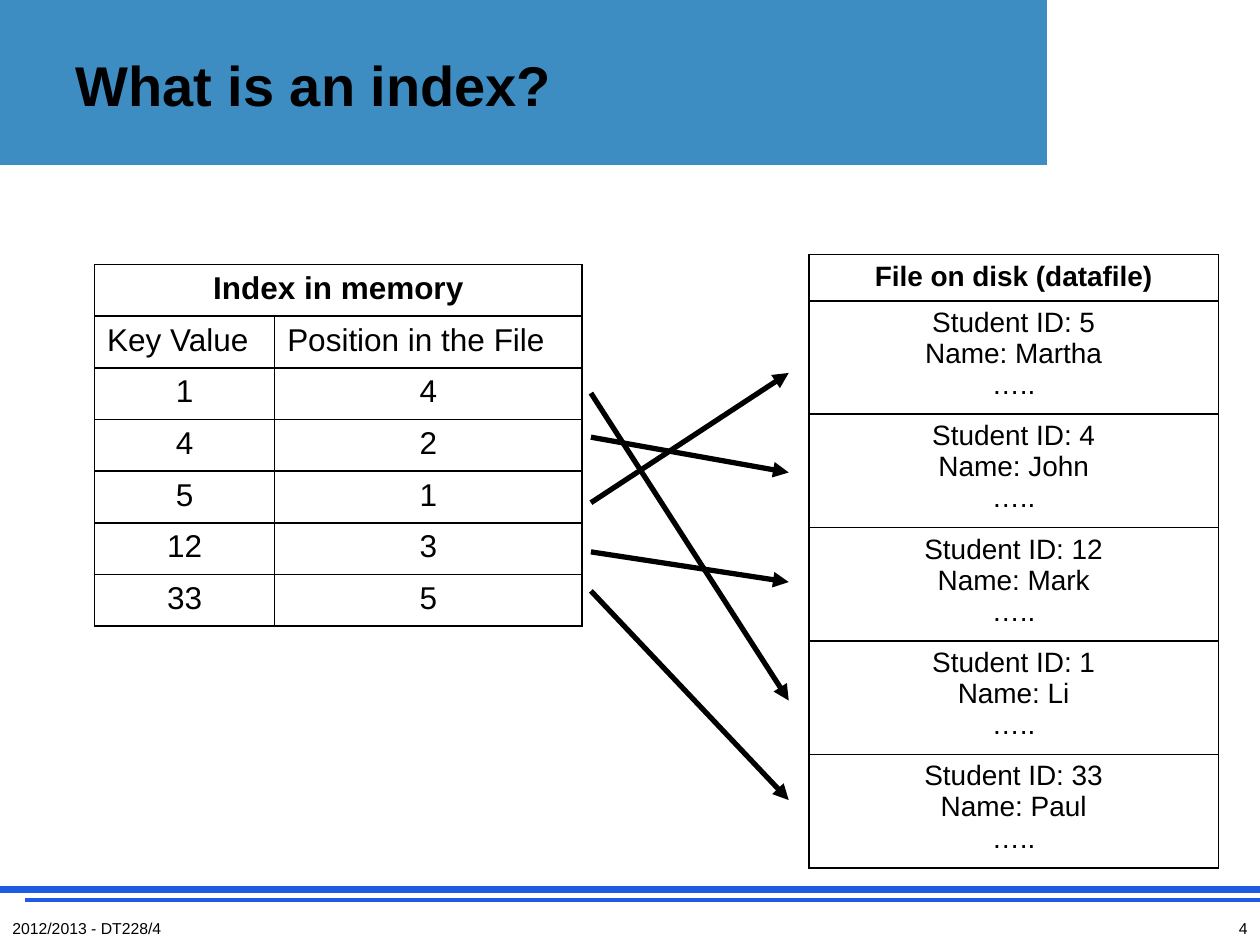
from lxml import etree
from pptx import Presentation
from pptx.dml.color import RGBColor
from pptx.enum.shapes import MSO_CONNECTOR, MSO_SHAPE
from pptx.enum.text import MSO_ANCHOR, PP_ALIGN
from pptx.oxml import parse_xml
from pptx.oxml.ns import nsdecls, qn
from pptx.util import Inches, Pt

STRAIGHT = MSO_CONNECTOR.STRAIGHT
RECTANGLE = MSO_SHAPE.RECTANGLE
TOP, MIDDLE = MSO_ANCHOR.TOP, MSO_ANCHOR.MIDDLE
LEFT, CENTER, RIGHT = PP_ALIGN.LEFT, PP_ALIGN.CENTER, PP_ALIGN.RIGHT
BLACK = RGBColor(0x00, 0x00, 0x00)
WHITE = RGBColor(0xFF, 0xFF, 0xFF)
BANNER_BLUE = RGBColor(0x3D, 0x8D, 0xC3)
RULE_BLUE = RGBColor(0x1E, 0x5B, 0xE2)

prs = Presentation()
prs.slide_width, prs.slide_height = Inches(10), Inches(7.5)
slide = prs.slides.add_slide(prs.slide_layouts[6])
shapes = slide.shapes


def write(frame, text, size, bold=False, align=LEFT, anchor=TOP):
    frame.word_wrap = True
    frame.vertical_anchor = anchor
    for i, line in enumerate(text.split("\n")):
        paragraph = frame.paragraphs[0] if i == 0 else frame.add_paragraph()
        paragraph.alignment = align
        run = paragraph.add_run()
        run.text = line
        run.font.name = "Arial"
        run.font.size = Pt(size)
        run.font.bold = bold
        run.font.color.rgb = BLACK


def draw_line(start, end, color, width):
    line = shapes.add_connector(STRAIGHT, *map(Inches, start + end))
    line.line.color.rgb = color
    line.line.width = Pt(width)
    etree.SubElement(line._element.spPr, qn("a:effectLst"))
    return line


for left, width, height, color in [(0, 10, 1.31, BANNER_BLUE), (8.31, 1.69, 1.39, WHITE)]:
    band = shapes.add_shape(RECTANGLE, Inches(left), 0, Inches(width), Inches(height))
    band.shadow.inherit = False
    band.fill.solid()
    band.fill.fore_color.rgb = color
    band.line.fill.background()

draw_line((0, 7.06), (10, 7.06), RULE_BLUE, 4.5)
draw_line((0.2, 7.14), (10, 7.14), RULE_BLUE, 2.25)

for text, box, size, bold, align in [
    ("What is an index?", (0.5, 0.13, 6.86, 1.08), 32, True, LEFT),
    ("2012/2013 - DT228/4", (0, 7.23, 2.33, 0.27), 9, False, LEFT),
    ("4", (7.67, 7.23, 2.33, 0.27), 9, False, RIGHT),
]:
    label = shapes.add_textbox(*map(Inches, box))
    write(label.text_frame, text, size, bold=bold, align=align, anchor=MIDDLE)

index_rows = [
    ("Index in memory", ""),
    ("Key Value", "Position in the File"),
    ("1", "4"),
    ("4", "2"),
    ("5", "1"),
    ("12", "3"),
    ("33", "5"),
]
students = [("5", "Martha"), ("4", "John"), ("12", "Mark"), ("1", "Li"), ("33", "Paul")]
file_rows = [("File on disk (datafile)",)]
file_rows += [(f"Student ID: {key}\nName: {name}\n…..",) for key, name in students]

for rows, left, top, widths, heights, size in [
    (index_rows, 0.75, 2.1, [1.43, 2.44], [0.41] * 7, 18),
    (file_rows, 6.42, 2.02, [3.25], [0.35] + [0.84] * 5, 16),
]:
    table = shapes.add_table(
        len(rows), len(widths), Inches(left), Inches(top),
        Inches(sum(widths)), Inches(sum(heights)),
    ).table
    table.first_row = table.horz_banding = False
    for column, width in zip(table.columns, widths):
        column.width = Inches(width)
    for row, height in zip(table.rows, heights):
        row.height = Inches(height)
    if len(widths) > 1:
        table.cell(0, 0).merge(table.cell(0, 1))
    for r, values in enumerate(rows):
        for c, value in enumerate(values):
            cell = table.cell(r, c)
            cell.fill.background()
            if value:
                align = LEFT if rows is index_rows and r == 1 else CENTER
                write(cell.text_frame, value, size, bold=r == 0, align=align)
            for i, side in enumerate(("lnL", "lnR", "lnT", "lnB")):
                border = parse_xml(
                    f'<a:{side} {nsdecls("a")} w="12700"><a:solidFill>'
                    f'<a:srgbClr val="{BLACK}"/></a:solidFill></a:{side}>'
                )
                cell._tc.get_or_add_tcPr().insert(i, border)

for start_y, end_y in [(3.99, 2.96), (3.47, 3.75), (4.38, 4.62), (3.12, 5.56), (4.69, 6.35)]:
    pointer = draw_line((4.69, start_y), (6.26, end_y), BLACK, 3)
    etree.SubElement(pointer.line._get_or_add_ln(), qn("a:tailEnd"), type="triangle")

prs.save("out.pptx")
